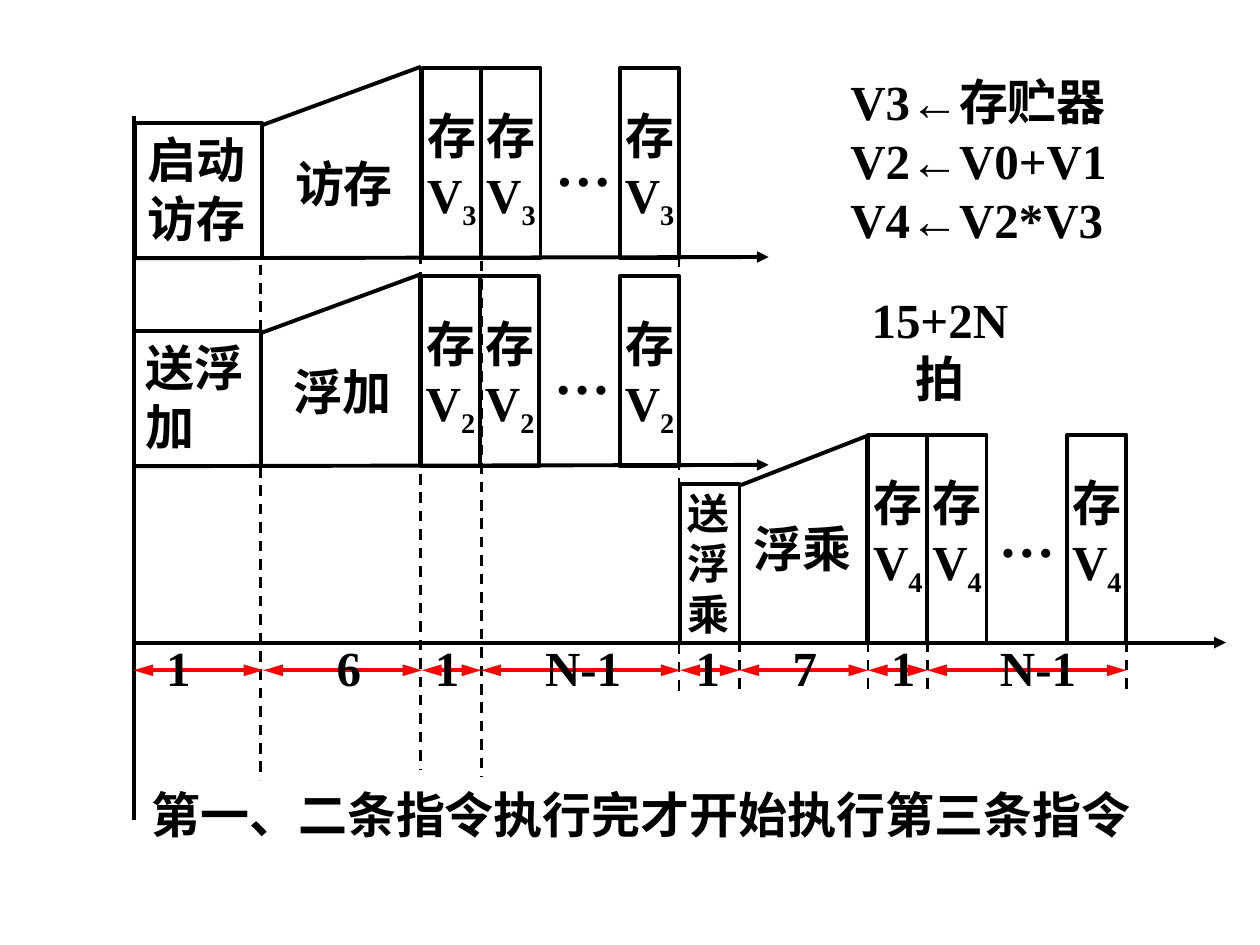
from itertools import pairwise

from lxml import etree
from pptx import Presentation
from pptx.dml.color import RGBColor
from pptx.enum.dml import MSO_LINE_DASH_STYLE as Dash
from pptx.enum.shapes import MSO_CONNECTOR as Connector, MSO_SHAPE as Shape
from pptx.enum.text import MSO_ANCHOR as Anchor, PP_ALIGN as Align
from pptx.oxml.ns import qn
from pptx.util import Inches, Pt

COLORS = {"ink": "000000", "span": "FF0000"}
FONT = "Times New Roman"
STORE_WIDTH = 0.47


class TimingDiagram:
    def __init__(self, slide):
        self.slide = slide

    def style_line(self, line, color="ink", width=2.25):
        line.color.rgb = RGBColor.from_string(COLORS[color])
        line.width = Pt(width)

    def line(self, x1, y1, x2, y2, color="ink", dashed=False, ends=(), length="med"):
        connector = self.slide.shapes.add_connector(
            Connector.STRAIGHT, Inches(x1), Inches(y1), Inches(x2), Inches(y2))
        self.style_line(connector.line, color, 1.5 if dashed else 2.25)
        if dashed:
            connector.line.dash_style = Dash.DASH
        properties = connector._element.spPr
        outline = properties.find(qn("a:ln"))
        for end in ends:
            etree.SubElement(outline, qn(f"a:{end}"), type="triangle", w="med", len=length)
        etree.SubElement(properties, qn("a:effectLst"))

    def fill_text(self, text_frame, text, size=28, align=Align.CENTER, wrap=False):
        text_frame.word_wrap = wrap
        text_frame.vertical_anchor = Anchor.TOP
        text_frame.text = text
        for paragraph in text_frame.paragraphs:
            paragraph.alignment = align
            for run in paragraph.runs:
                self.style_run(run, size)

    def style_run(self, run, size):
        run.font.name = FONT
        run.font.size = Pt(size)
        run.font.bold = True
        run.font.color.rgb = RGBColor.from_string(COLORS["ink"])

    def text(self, x, y, width, height, text, **style):
        box = self.slide.shapes.add_textbox(
            Inches(x), Inches(y), Inches(width), Inches(height))
        self.fill_text(box.text_frame, text, **style)
        return box.text_frame

    def box(self, x, y, width, height, text=""):
        shape = self.slide.shapes.add_shape(
            Shape.RECTANGLE, Inches(x), Inches(y), Inches(width), Inches(height))
        shape.shadow.inherit = False
        shape.fill.background()
        self.style_line(shape.line)
        if text:
            self.fill_text(shape.text_frame, text, align=Align.LEFT)

    def store(self, x, y, height, register):
        text_frame = self.text(x - 0.16, y + 0.25, 0.79, 1.04, "存\nV", wrap=True)
        subscript = text_frame.paragraphs[1].add_run()
        subscript.text = register
        self.style_run(subscript, 28)
        subscript.font._element.set("baseline", "-25000")
        self.box(x, y, STORE_WIDTH, height)

    def stores(self, first, last, y, height, register):
        for x in (first, first + STORE_WIDTH, last):
            self.store(x, y, height, register)

    def slope(self, x, start, peak_x, peak, bottom):
        self.line(x, start, peak_x, peak)
        self.line(peak_x, peak, peak_x, bottom)

    def instruction(self, left, top, start, stage, register):
        bottom = top + 1.51
        self.line(1.06, bottom, 6.1, bottom - 0.01, ends=["tailEnd"])
        self.text(left + 1.17, top + 0.63, 0.98, 0.57, stage)
        self.box(left, top + 0.44, 1.01, 1.07, start)
        self.slope(left + 1.02, top + 0.45, left + 2.27, top - 0.01, bottom)
        self.stores(left + 2.28, 4.92, top, 1.51, register)
        self.text(left + 2.98, top + 0.45, 1.16, 0.63, "…", size=32, wrap=True)

    def multiply(self):
        self.line(1.06, 5.1, 9.73, 5.1, ends=["tailEnd"])
        self.box(5.4, 3.84, STORE_WIDTH, 1.26)
        self.text(5.35, 3.82, 0.54, 1.3, "送\n浮\n乘", size=24)
        self.slope(5.88, 3.85, 6.88, 3.46, 5.1)
        self.text(5.88, 4.07, 0.98, 0.57, "浮乘")
        self.stores(6.89, 8.47, 3.45, 1.65, "4")
        self.text(7.83, 3.93, 1.1, 0.63, "…", size=32, align=Align.LEFT, wrap=True)

    def time_spans(self):
        for x, top, bottom in ((2.07, 2.1, 6.19), (3.34, 2.01, 6.1),
                               (3.82, 2.07, 6.17), (5.39, 1.6, 5.54)):
            self.line(x, top, x, bottom, dashed=True)
        for x in (5.87, 6.89, 7.36, 8.94):
            self.line(x, 5.09, x, 5.48, dashed=True)
        edges = (1.06, 2.09, 3.35, 3.82, 5.4, 5.87, 6.89, 7.36, 8.94)
        for start, end in pairwise(edges):
            self.line(start, 5.32, end, 5.32, color="span",
                      ends=["headEnd", "tailEnd"], length="lg")

    def span_labels(self):
        left = 1.22
        text_frame = self.text(left, 5.01, 7.44, 0.57, "1\t6\t1\tN-1\t1\t7\t1\tN-1",
                               align=Align.LEFT, wrap=True)
        properties = text_frame.paragraphs[0]._p.get_or_add_pPr()
        tabs = etree.SubElement(properties, qn("a:tabLst"))
        for center in (2.77, 3.55, 4.63, 5.62, 6.39, 7.17, 8.24):
            position = Inches(center - left - 0.1)
            etree.SubElement(tabs, qn("a:tab"), pos=str(int(position)), algn="ctr")


def main():
    presentation = Presentation()
    presentation.slide_width = Inches(10)
    presentation.slide_height = Inches(7.5)
    slide = presentation.slides.add_slide(presentation.slide_layouts[6])
    diagram = TimingDiagram(slide)

    diagram.line(1.06, 0.92, 1.06, 6.51)
    diagram.instruction(1.07, 0.54, "启动\n访存", "访存", "3")
    diagram.instruction(1.06, 2.19, "送浮\n加", "浮加", "2")
    diagram.multiply()
    diagram.time_spans()
    diagram.span_labels()
    diagram.text(6.81, 2.25, 1.3, 1.04, "15+2N拍", wrap=True)
    diagram.text(1.08, 6.18, 8.01, 0.57, "第一、二条指令执行完才开始执行第三条指令")
    diagram.text(6.65, 0.52, 2.52, 1.5, "V3←存贮器\nV2←V0+V1\nV4←V2*V3",
                 align=Align.LEFT, wrap=True)
    presentation.save("out.pptx")


if __name__ == "__main__":
    main()
